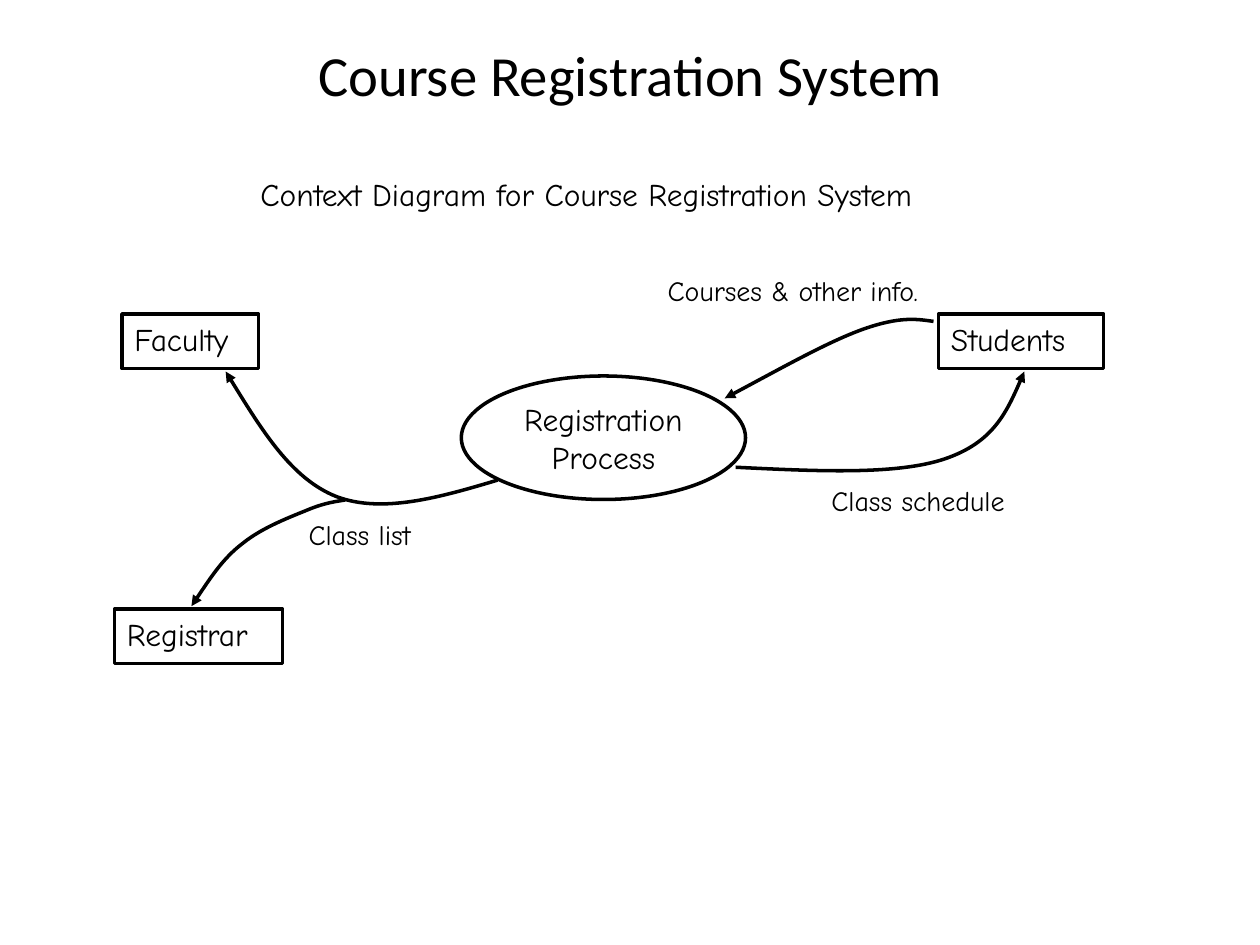
"""Build the context diagram slide for the course registration system."""

from dataclasses import dataclass

from lxml.etree import SubElement
from pptx import Presentation
from pptx.dml.color import RGBColor
from pptx.enum.shapes import MSO_SHAPE
from pptx.enum.text import MSO_ANCHOR, PP_ALIGN
from pptx.oxml.ns import qn
from pptx.util import Cm, Pt


@dataclass(frozen=True)
class Theme:
    ink: RGBColor = RGBColor(0, 0, 0)
    title_font: str = "Calibri"
    body_font: str = "Comic Neue"
    title_size: float = 32.4
    body_size: float = 18
    label_size: float = 16
    line_width: float = 2


THEME = Theme()
SLIDE_SIZE = (25.4, 19.05)

TITLE = ("Course Registration System", (1.9, 0.64, 21.6, 1.7))
SUBTITLE = ("Context Diagram for Course Registration System", (5, 3.4, 15.09, 1.02))
PROCESS = (["Registration", "Process"], (9.3, 7.58, 5.73, 2.49))
ENTITY_HEIGHT = 1.1
ENTITIES = [
    ("Faculty", 2.46, 6.33, 2.75),
    ("Students", 18.92, 6.33, 3.33),
    ("Registrar", 2.31, 12.28, 3.39),
]
LABEL_HEIGHT = 0.94
LABELS = [
    ("Class list", 5.97, 10.31, 2.87),
    ("Courses & other info.", 13.21, 5.38, 6.1),
    ("Class schedule", 16.51, 9.63, 4.29),
]
FLOWS = [
    [
        (10.03, 9.68), (8.86, 10.03), (7.7, 10.36), (6.78, 10.01),
        (5.87, 9.65), (5.21, 8.56), (4.55, 7.49),
    ],
    [
        (18.82, 6.48), (18.47, 6.43), (18.14, 6.38), (17.42, 6.63),
        (16.71, 6.88), (15.67, 7.47), (14.61, 8.03),
    ],
    [
        (14.83, 9.42), (16.46, 9.5), (18.08, 9.58), (19.05, 9.25),
        (20.02, 8.92), (20.35, 8.2), (20.65, 7.49),
    ],
    [
        (6.96, 10.08), (6.78, 10.11), (6.58, 10.13), (6.25, 10.26),
        (5.89, 10.41), (5.31, 10.62), (4.9, 10.95),
        (4.5, 11.25), (4.19, 11.73), (3.86, 12.22),
    ],
]


def write_text(shape, lines, size, font=THEME.body_font,
               alignment=PP_ALIGN.LEFT, anchor=MSO_ANCHOR.TOP):
    frame = shape.text_frame
    frame.word_wrap = True
    frame.vertical_anchor = anchor
    frame.text = "\n".join(lines)
    for paragraph in frame.paragraphs:
        paragraph.alignment = alignment
        paragraph.font.name = font
        paragraph.font.size = Pt(size)
        paragraph.font.color.rgb = THEME.ink


def outline(shape):
    shape.shadow.inherit = False
    shape.fill.background()
    shape.line.color.rgb = THEME.ink
    shape.line.width = Pt(THEME.line_width)


def add_text(slide, text, box, size, **style):
    shape = slide.shapes.add_textbox(*map(Cm, box))
    write_text(shape, [text], size, **style)


def add_node(slide, kind, lines, box, **style):
    shape = slide.shapes.add_shape(kind, *map(Cm, box))
    outline(shape)
    write_text(shape, lines, THEME.body_size, **style)


def bend_segments(shape):
    segments = list(shape.element.iter(qn("a:lnTo")))
    for start in range(0, len(segments), 3):
        curve = SubElement(segments[start].getparent(), qn("a:cubicBezTo"))
        for segment in segments[start:start + 3]:
            curve.append(segment[0])
            segment.getparent().remove(segment)


def add_flow(slide, controls):
    start, *others = [tuple(map(Cm, point)) for point in controls]
    builder = slide.shapes.build_freeform(*start)
    builder.add_line_segments(others, close=False)
    shape = builder.convert_to_shape()
    bend_segments(shape)
    outline(shape)
    line = shape.element.spPr.find(qn("a:ln"))
    SubElement(line, qn("a:round"))
    SubElement(line, qn("a:tailEnd"), type="triangle")


def main():
    presentation = Presentation()
    presentation.slide_width, presentation.slide_height = map(Cm, SLIDE_SIZE)
    slide = presentation.slides.add_slide(presentation.slide_layouts[6])

    add_text(slide, *TITLE, THEME.title_size, font=THEME.title_font,
             alignment=PP_ALIGN.CENTER, anchor=MSO_ANCHOR.MIDDLE)
    add_text(slide, *SUBTITLE, THEME.body_size)
    add_node(slide, MSO_SHAPE.OVAL, *PROCESS,
             alignment=PP_ALIGN.CENTER, anchor=MSO_ANCHOR.MIDDLE)
    for text, left, top, width in ENTITIES:
        add_node(slide, MSO_SHAPE.RECTANGLE, [text], (left, top, width, ENTITY_HEIGHT))
    for controls in FLOWS:
        add_flow(slide, controls)
    for text, left, top, width in LABELS:
        add_text(slide, text, (left, top, width, LABEL_HEIGHT), THEME.label_size)

    presentation.save("out.pptx")


if __name__ == "__main__":
    main()
